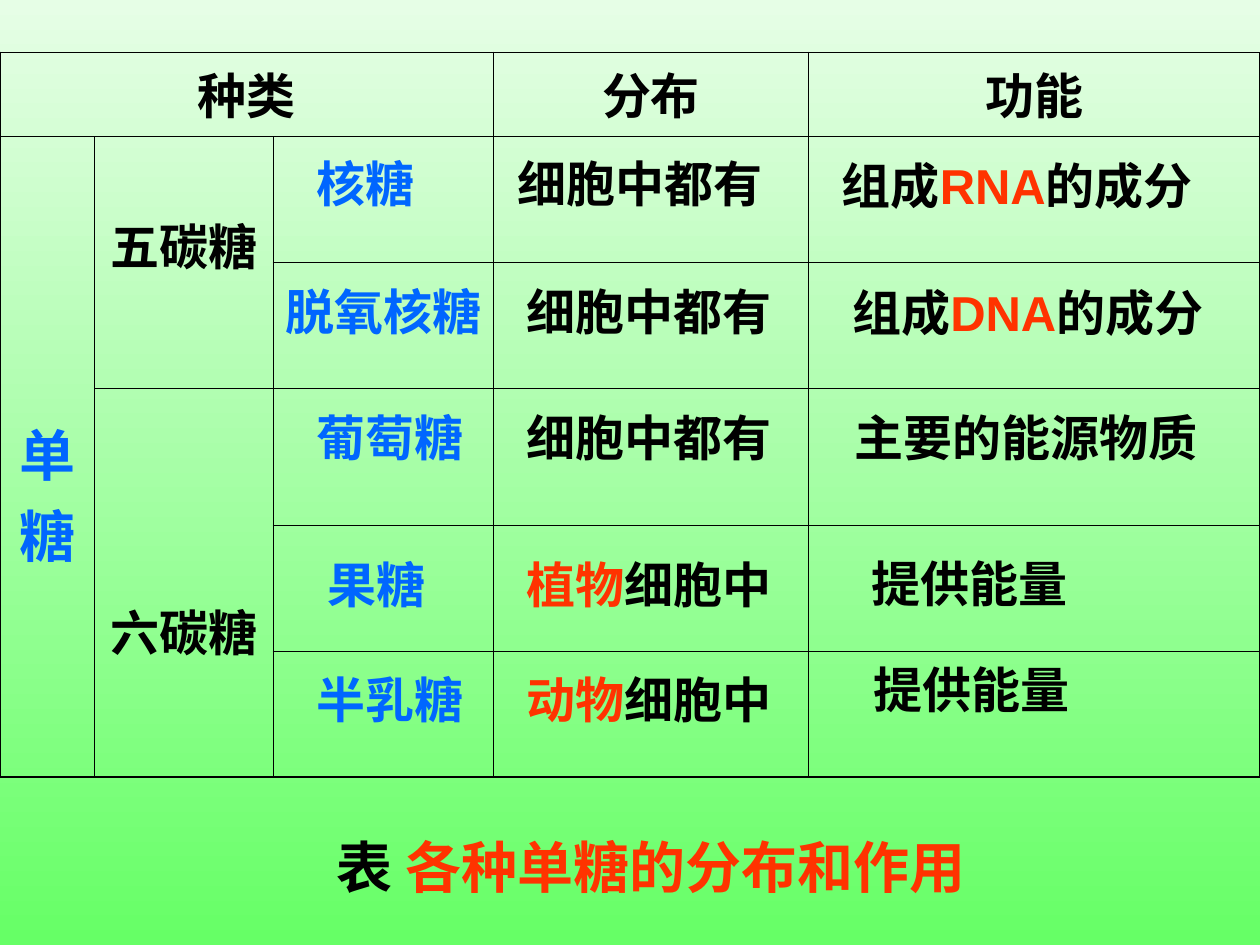
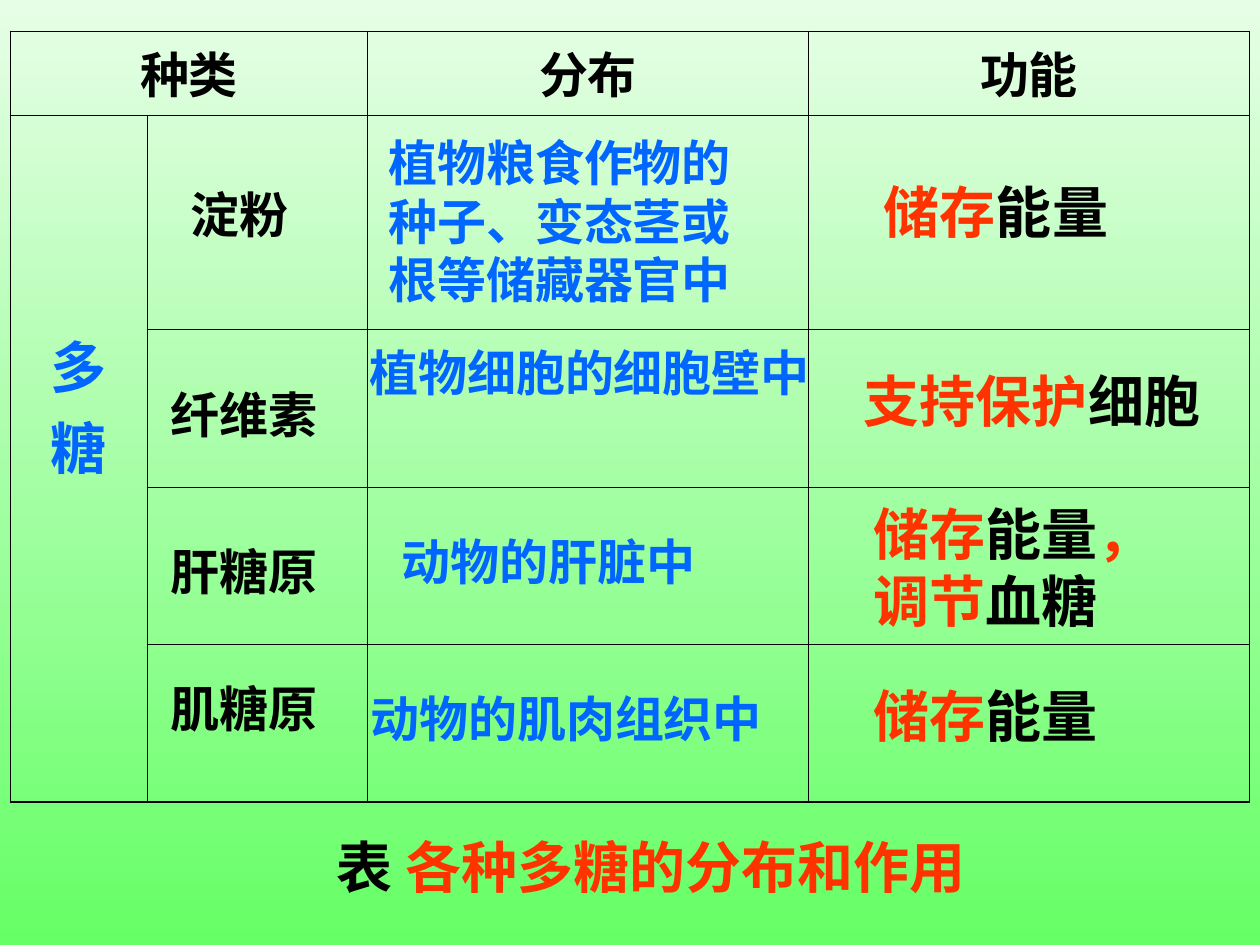
"""Two lesson slides: tables of monosaccharides and polysaccharides."""
from dataclasses import dataclass

from lxml import etree
from pptx import Presentation
from pptx.dml.color import RGBColor
from pptx.enum.text import MSO_ANCHOR, PP_ALIGN
from pptx.oxml.ns import qn
from pptx.util import Emu, Inches, Pt

CENTER, LEFT = PP_ALIGN.CENTER, PP_ALIGN.LEFT
MIDDLE, TOP = MSO_ANCHOR.MIDDLE, MSO_ANCHOR.TOP
TITLE_ONLY = 5
UNITS_PER_INCH = 12  # the slide is a grid of 120 by 90 units


@dataclass(frozen=True)
class Theme:
    """Colours, fonts, type sizes and line widths of the deck."""
    black: str = "000000"
    blue: str = "0066FF"
    red: str = "FF3300"
    sky: str = "E6FEE6"
    grass: str = "66FF66"
    latin: str = "Arial"
    cjk: str = "Noto Sans CJK SC"
    body: int = 28
    large: int = 32
    leading: float = 1.2
    inset: float = 0.6
    thin: float = 0.45
    thick: float = 1.08


T = Theme()


@dataclass(frozen=True)
class Cell:
    """Table text with its place, span and top inset in grid units."""
    row: int
    col: int
    text: str
    rows: int = 1
    cols: int = 1
    inset: float = 0.55
    size: int = T.body
    color: str = T.black


@dataclass(frozen=True)
class Note:
    """Text laid over the table; *starred* words are red."""
    x: float
    y: float
    w: float
    text: str
    color: str = T.black
    size: int = T.body
    font: str = T.latin
    lines: int = 1
    wrap: bool = False


@dataclass(frozen=True)
class Page:
    """Title, table grid and texts of one slide, in grid units."""
    title: str
    left: float
    top: float
    cols: list[float]
    rows: list[float]
    cells: list[Cell]
    notes: list[Note]


def u(units: float) -> Emu:
    """Convert grid units to a length."""
    return Inches(units / UNITS_PER_INCH)


def write(tf, text: str, size: int, color: str, font: str, align=LEFT) -> None:
    """Fill a text frame, colouring *starred* words red."""
    p = tf.paragraphs[0]
    p.alignment = align
    for i, part in enumerate(text.split("*")):
        if not part:
            continue
        r = p.add_run()
        r.text = part
        r.font.size, r.font.bold, r.font.name = Pt(size), True, font
        r.font.color.rgb = RGBColor.from_string(T.red if i % 2 else color)
        ea = etree.SubElement(r.font._element, qn("a:ea"))
        ea.set("typeface", T.cjk)


def set_borders(cell, outer: dict[str, bool]) -> None:
    """Draw the four cell borders, thick on the table's outer edge."""
    tcPr = cell._tc.get_or_add_tcPr()
    for i, (side, is_outer) in enumerate(outer.items()):
        ln = etree.Element(qn(f"a:ln{side}"))
        ln.set("w", str(Pt(T.thick if is_outer else T.thin)))
        fill = etree.SubElement(ln, qn("a:solidFill"))
        etree.SubElement(fill, qn("a:srgbClr")).set("val", T.black)
        tcPr.insert(i, ln)


def add_grid(slide, page: Page) -> None:
    """Add the unfilled table with its merged cells and text."""
    n_rows, n_cols = len(page.rows), len(page.cols)
    table = slide.shapes.add_table(
        n_rows, n_cols, u(page.left), u(page.top),
        u(sum(page.cols)), u(sum(page.rows))).table
    table.first_row = table.horz_banding = False
    for col, width in zip(table.columns, page.cols):
        col.width = u(width)
    for row, height in zip(table.rows, page.rows):
        row.height = u(height)
    for c in page.cells:
        cell = table.cell(c.row, c.col)
        if c.rows * c.cols > 1:
            cell.merge(table.cell(c.row + c.rows - 1, c.col + c.cols - 1))
        cell.margin_top = u(c.inset)
        write(cell.text_frame, c.text, c.size, c.color, T.latin, CENTER)
    for i in range(n_rows):
        for j in range(n_cols):
            cell = table.cell(i, j)
            cell.fill.background()
            last_row = i + (cell.span_height if cell.is_merge_origin else 1)
            last_col = j + (cell.span_width if cell.is_merge_origin else 1)
            set_borders(cell, {"L": j == 0, "R": last_col == n_cols,
                               "T": i == 0, "B": last_row == n_rows})


def add_note(slide, note: Note) -> None:
    """Add one text box over the table."""
    leading = Pt(note.size * T.leading)
    sp = slide.shapes.add_textbox(u(note.x), u(note.y), u(note.w),
                                  leading * note.lines + u(2 * T.inset))
    tf = sp.text_frame
    tf.word_wrap, tf.vertical_anchor = note.wrap, TOP
    tf.margin_top = tf.margin_bottom = u(T.inset)
    write(tf, note.text, note.size, note.color, note.font)
    tf.paragraphs[0].line_spacing = leading


def add_title(slide, text: str) -> None:
    """Move the title placeholder below the table and fill it."""
    sp = slide.shapes.title
    sp.left, sp.top, sp.width, sp.height = u(11), u(75), u(102), u(15)
    sp.text_frame.vertical_anchor = MIDDLE
    write(sp.text_frame, text, T.large, T.black, T.cjk, CENTER)


def set_background(master) -> None:
    """Give all slides the vertical green gradient."""
    fill = master.background.fill
    fill.gradient()
    fill.gradient_angle = 270
    for stop, color, pos in zip(fill.gradient_stops, (T.sky, T.grass), (0, 1)):
        stop.color.rgb, stop.position = RGBColor.from_string(color), pos


def headings(kind_cols: int) -> list[Cell]:
    """Return the heading row, whose first cell spans the kind columns."""
    return [Cell(0, 0, "种类", cols=kind_cols),
            Cell(0, kind_cols, "分布"), Cell(0, kind_cols + 1, "功能")]


def effect(x: float, y: float, w: float, text: str, **options) -> Note:
    """Return a large note for the function column."""
    return Note(x, y, w, text, size=T.large, font=T.cjk, **options)


PAGES = [
    Page(
        "表 *各种单糖的分布和作用*", 0, 5,
        [9, 17, 21, 30, 43], [8, 12, 12, 13, 12, 12],
        headings(3) + [
            Cell(1, 0, "单糖", rows=5, inset=26.2, size=T.large, color=T.blue),
            Cell(1, 1, "五碳糖", rows=2, inset=6.9),
            Cell(3, 1, "六碳糖", rows=3, inset=19.7)],
        [
            Note(29, 14, 12, "核糖", T.blue),
            Note(26, 26.2, 21.5, "脱氧核糖", T.blue),
            Note(29, 38.2, 17, "葡萄糖", T.blue),
            Note(30, 52.2, 12, "果糖", T.blue),
            Note(29, 63.2, 17, "半乳糖", T.blue),
            Note(48.1, 14, 26.5, "细胞中都有"),
            Note(49, 26.2, 26.5, "细胞中都有"),
            Note(49, 38.2, 26.5, "细胞中都有"),
            Note(49, 52.2, 26.5, "*植物*细胞中"),
            Note(49, 63.2, 26.5, "*动物*细胞中"),
            Note(79, 14.2, 39, "组成*RNA*的成分"),
            Note(80, 26.3, 39, "组成*DNA*的成分"),
            Note(80.2, 38.2, 36, "主要的能源物质"),
            Note(81.8, 52.1, 22, "提供能量"),
            Note(82, 62.2, 22, "提供能量")]),
    Page(
        "表 *各种多糖的分布和作用*", 1, 3,
        [13, 21, 42, 42], [8, 20.4, 15, 15, 15],
        headings(2) + [
            Cell(1, 0, "多糖", rows=4, inset=19.8, size=T.large, color=T.blue)],
        [
            Note(17, 17, 12, "淀粉"),
            Note(15.1, 36, 17, "纤维素"),
            Note(15.1, 51, 17, "肝糖原"),
            Note(15.1, 64, 17, "肌糖原"),
            Note(35.8, 12, 39.2, "植物粮食作物的种子、变态茎或根等储藏器官中",
                 T.blue, lines=3, wrap=True),
            Note(34, 32, 48, "植物细胞的细胞壁中", T.blue, wrap=True),
            Note(37.1, 50, 31.5, "动物的肝脏中", T.blue),
            Note(34.1, 65, 41, "动物的肌肉组织中", T.blue),
            effect(83, 16.3, 25, "*储存*能量"),
            effect(81.1, 34.3, 36, "*支持保护*细胞"),
            effect(82, 47, 29.4, "*储存*能量*，调节*血糖", lines=2, wrap=True),
            effect(82, 64.3, 25, "*储存*能量")]),
]


def main() -> None:
    """Build and save the deck."""
    prs = Presentation()
    prs.slide_width, prs.slide_height = u(120), u(90)
    set_background(prs.slide_master)
    for page in PAGES:
        slide = prs.slides.add_slide(prs.slide_layouts[TITLE_ONLY])
        add_grid(slide, page)
        for note in page.notes:
            add_note(slide, note)
        add_title(slide, page.title)
    prs.save("out.pptx")


main()
